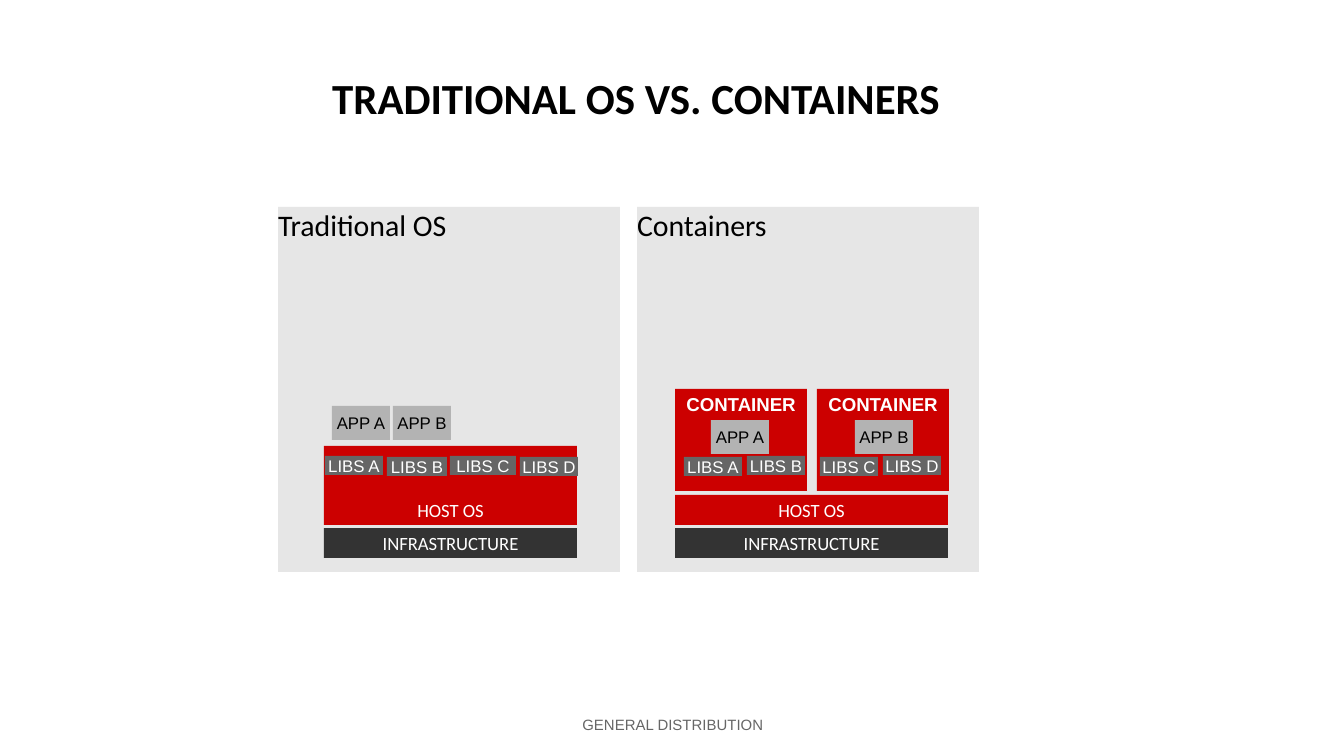
from pptx import Presentation
from pptx.dml.color import RGBColor
from pptx.enum.shapes import MSO_SHAPE
from pptx.enum.text import MSO_ANCHOR, PP_ALIGN
from pptx.util import Emu, Pt

RECT = MSO_SHAPE.RECTANGLE
TOP, MIDDLE, BOTTOM = MSO_ANCHOR.TOP, MSO_ANCHOR.MIDDLE, MSO_ANCHOR.BOTTOM
LEFT, CENTER = PP_ALIGN.LEFT, PP_ALIGN.CENTER

EMU_PER_PX = 914400 / 134.4
BLACK, WHITE = "000000", "FFFFFF"
RED, CHARCOAL, GRAY, SILVER, PALE = "CC0000", "333333", "666666", "B3B3B3", "E6E6E6"
PANEL_W, PANEL_H = 342, 365
LAYER_H = 30
APP_W, APP_H = 58, 34
LIB_H = 19


def px(length):
    return Emu(round(length * EMU_PER_PX))


def color(value):
    return RGBColor.from_string(value)


def write(shape, text, size=10, font="Calibri", ink=WHITE, bold=False,
          align=CENTER, anchor=MIDDLE, inset=(8, 4), wrap=False):
    frame = shape.text_frame
    frame.word_wrap = wrap
    frame.vertical_anchor = anchor
    frame.margin_left = frame.margin_right = px(inset[0])
    frame.margin_top = frame.margin_bottom = px(inset[1])
    paragraph = frame.paragraphs[0]
    paragraph.alignment = align
    run = paragraph.add_run()
    run.text = text
    run.font.size = Pt(size)
    run.font.name = font
    run.font.bold = bold
    run.font.color.rgb = color(ink)


def add_block(slide, box, fill, text, **text_format):
    block = slide.shapes.add_shape(RECT, *map(px, box))
    block.shadow.inherit = False
    block.fill.solid()
    block.fill.fore_color.rgb = color(fill)
    block.line.fill.background()
    write(block, text, **text_format)


def add_label(slide, box, text, **text_format):
    label = slide.shapes.add_textbox(*map(px, box))
    write(label, text, wrap=True, **text_format)


def add_app(slide, left, top, name):
    add_block(slide, (left, top, APP_W, APP_H), SILVER, f"APP {name}",
              size=9, font="Arial", ink=BLACK, inset=(9, 5))


def add_lib(slide, left, top, name, width=APP_W):
    add_block(slide, (left, top, width, LIB_H), GRAY, f"LIBS {name}",
              size=9, font="Arial", inset=(9, 5))


def add_panel(slide, left, top, heading, stack_left, stack_w, host_top, host_h):
    add_block(slide, (left, top, PANEL_W, PANEL_H), PALE, heading, size=16,
              ink=BLACK, align=LEFT, anchor=TOP, inset=(0, 0), wrap=True)
    add_block(slide, (left + stack_left, top + 321, stack_w, LAYER_H),
              CHARCOAL, "INFRASTRUCTURE")
    add_block(slide, (left + stack_left, top + host_top, stack_w, host_h),
              RED, "HOST OS", anchor=BOTTOM)


def add_traditional(slide, left, top):
    add_panel(slide, left, top, "Traditional OS", 46, 253, 239, 79)
    libs = (("A", 47, 249, 58), ("B", 109, 250, 60),
            ("C", 172, 249, 66), ("D", 242, 250, 58))
    for name, x, y, width in libs:
        add_lib(slide, left + x, top + y, name, width)
    for name, x in (("A", 54), ("B", 115)):
        add_app(slide, left + x, top + 199, name)


def add_container(slide, left, top, app, app_x, libs, libs_x):
    add_block(slide, (left, top, 132, 102), RED, "CONTAINER",
              font="Arial", bold=True, anchor=TOP)
    add_app(slide, left + app_x, top + 31, app)
    first, second = libs
    add_lib(slide, left + libs_x, top + 68, first)
    add_lib(slide, left + libs_x + 63, top + 67, second)


def add_containers(slide, left, top):
    add_panel(slide, left, top, "Containers", 38, 273, 288, LAYER_H)
    add_container(slide, left + 38, top + 182, "A", 36, "AB", 9)
    add_container(slide, left + 180, top + 182, "B", 38, "CD", 3)


def main():
    deck = Presentation()
    deck.slide_width, deck.slide_height = px(1344), px(756)
    slide = deck.slides.add_slide(deck.slide_layouts[6])
    add_label(slide, (495, 696, 356, 58), "GENERAL DISTRIBUTION",
              size=8, font="Arial", ink=GRAY, inset=(13, 13))
    add_label(slide, (220, 34, 833, 126), "TRADITIONAL OS VS. CONTAINERS",
              size=23, ink=BLACK, bold=True, inset=(0, 0))
    add_traditional(slide, 278, 207)
    add_containers(slide, 637, 207)
    deck.save("out.pptx")


if __name__ == "__main__":
    main()
